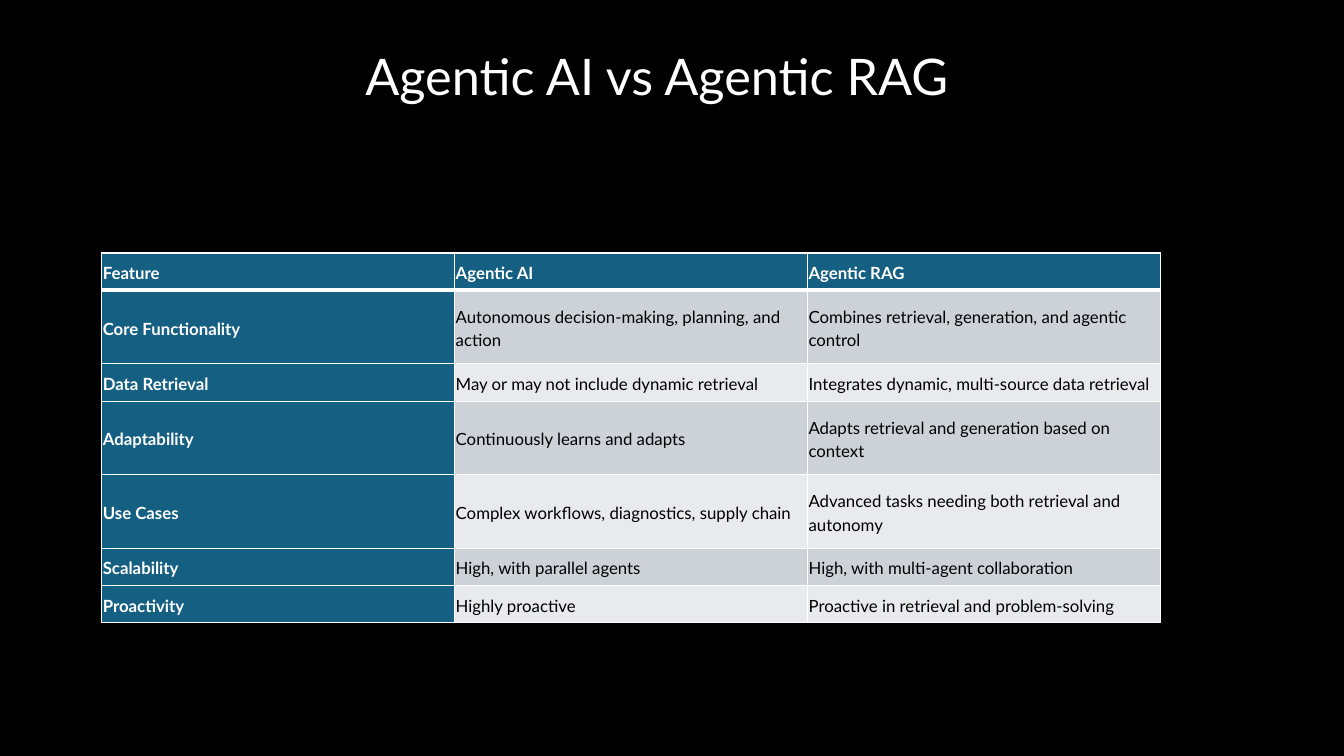
import pptx
import pptx.dml.color
import pptx.enum.text
import pptx.oxml
import pptx.oxml.ns
import pptx.util
from pptx.util import Inches, Pt

TITLE = "Agentic AI vs Agentic RAG"
ROWS = [
    ("Feature", "Agentic AI", "Agentic RAG"),
    ("Core Functionality", "Autonomous decision-making, planning, and action",
     "Combines retrieval, generation, and agentic control"),
    ("Data Retrieval", "May or may not include dynamic retrieval",
     "Integrates dynamic, multi-source data retrieval"),
    ("Adaptability", "Continuously learns and adapts",
     "Adapts retrieval and generation based on context"),
    ("Use Cases", "Complex workflows, diagnostics, supply chain",
     "Advanced tasks needing both retrieval and autonomy"),
    ("Scalability", "High, with parallel agents",
     "High, with multi-agent collaboration"),
    ("Proactivity", "Highly proactive",
     "Proactive in retrieval and problem-solving"),
]
TWO_LINE_ROWS = {1, 3, 4}

FONT = "Lato"
BLACK = pptx.dml.color.RGBColor(0x00, 0x00, 0x00)
WHITE = pptx.dml.color.RGBColor(0xFF, 0xFF, 0xFF)
HEADER_BLUE = pptx.dml.color.RGBColor(0x15, 0x60, 0x82)
BANDS = (pptx.dml.color.RGBColor(0xE8, 0xEA, 0xED),
         pptx.dml.color.RGBColor(0xCC, 0xD2, 0xD8))

SLIDE_WIDTH, SLIDE_HEIGHT = Inches(13.33), Inches(7.5)
TABLE_LEFT, TABLE_TOP = Inches(1.01), Inches(2.51)
COLUMN_WIDTH = Inches(3.5)
ROW_HEIGHT, TALL_ROW_HEIGHT = Inches(0.37), Inches(0.73)
CELL_MARGIN = Inches(0.01)
THIN, THICK = Pt(1), Pt(3)


def style_font(font, size, color, bold=False):
    font.name, font.size, font.bold = FONT, size, bold
    font.color.rgb = color


def add_borders(cell, row):
    """Draw white cell edges, with a thick rule under the header row."""
    widths = {"lnL": THIN, "lnR": THIN,
              "lnT": THICK if row == 1 else THIN,
              "lnB": THICK if row == 0 else THIN}
    properties = cell._tc.get_or_add_tcPr()
    for side, width in widths.items():
        properties.append(pptx.oxml.parse_xml(
            f'<a:{side} {pptx.oxml.ns.nsdecls("a")} w="{int(width)}">'
            f'<a:solidFill><a:srgbClr val="{WHITE}"/></a:solidFill></a:{side}>'))


def format_cell(cell, text, row, column):
    is_heading = row == 0 or column == 0
    add_borders(cell, row)
    cell.fill.solid()
    cell.fill.fore_color.rgb = HEADER_BLUE if is_heading else BANDS[row % 2]
    cell.vertical_anchor = pptx.enum.text.MSO_ANCHOR.MIDDLE
    cell.margin_left = cell.margin_right = CELL_MARGIN
    cell.margin_top = cell.margin_bottom = CELL_MARGIN
    cell.text_frame.text = text
    paragraph = cell.text_frame.paragraphs[0]
    paragraph.line_spacing = 1.15
    paragraph.space_after = Pt(8)
    style_font(paragraph.runs[0].font, Pt(12),
               WHITE if is_heading else BLACK, is_heading)


def add_title(slide):
    title = slide.shapes.title
    title.left, title.top = Inches(1.75), Inches(0.4)
    title.width, title.height = Inches(9.53), Inches(1.62)
    frame = title.text_frame
    frame.text = TITLE
    frame.word_wrap = True
    frame.vertical_anchor = pptx.enum.text.MSO_ANCHOR.TOP
    frame.paragraphs[0].alignment = pptx.enum.text.PP_ALIGN.CENTER
    style_font(frame.paragraphs[0].runs[0].font, Pt(36), WHITE)


def add_comparison_table(slide):
    heights = [TALL_ROW_HEIGHT if row in TWO_LINE_ROWS else ROW_HEIGHT
               for row in range(len(ROWS))]
    column_count = len(ROWS[0])
    table = slide.shapes.add_table(
        len(ROWS), column_count, TABLE_LEFT, TABLE_TOP,
        COLUMN_WIDTH * column_count, sum(heights)).table
    table.first_col = True
    for column in table.columns:
        column.width = COLUMN_WIDTH
    for row, texts in enumerate(ROWS):
        table.rows[row].height = heights[row]
        for column, text in enumerate(texts):
            format_cell(table.cell(row, column), text, row, column)


def main():
    presentation = pptx.Presentation()
    presentation.slide_width = SLIDE_WIDTH
    presentation.slide_height = SLIDE_HEIGHT
    slide = presentation.slides.add_slide(presentation.slide_layouts[5])
    slide.background.fill.solid()
    slide.background.fill.fore_color.rgb = BLACK
    add_title(slide)
    add_comparison_table(slide)
    presentation.save("out.pptx")


if __name__ == "__main__":
    main()
